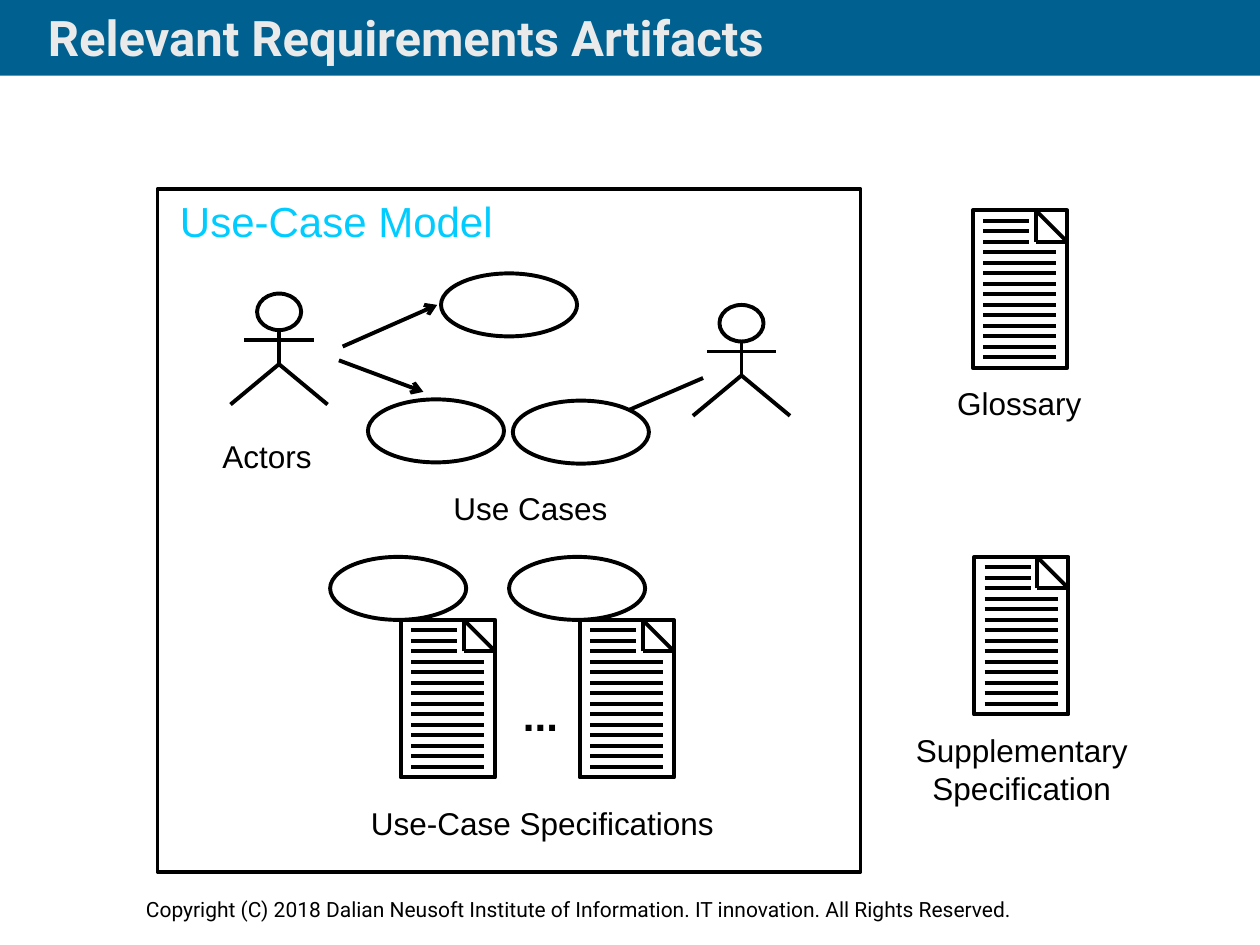
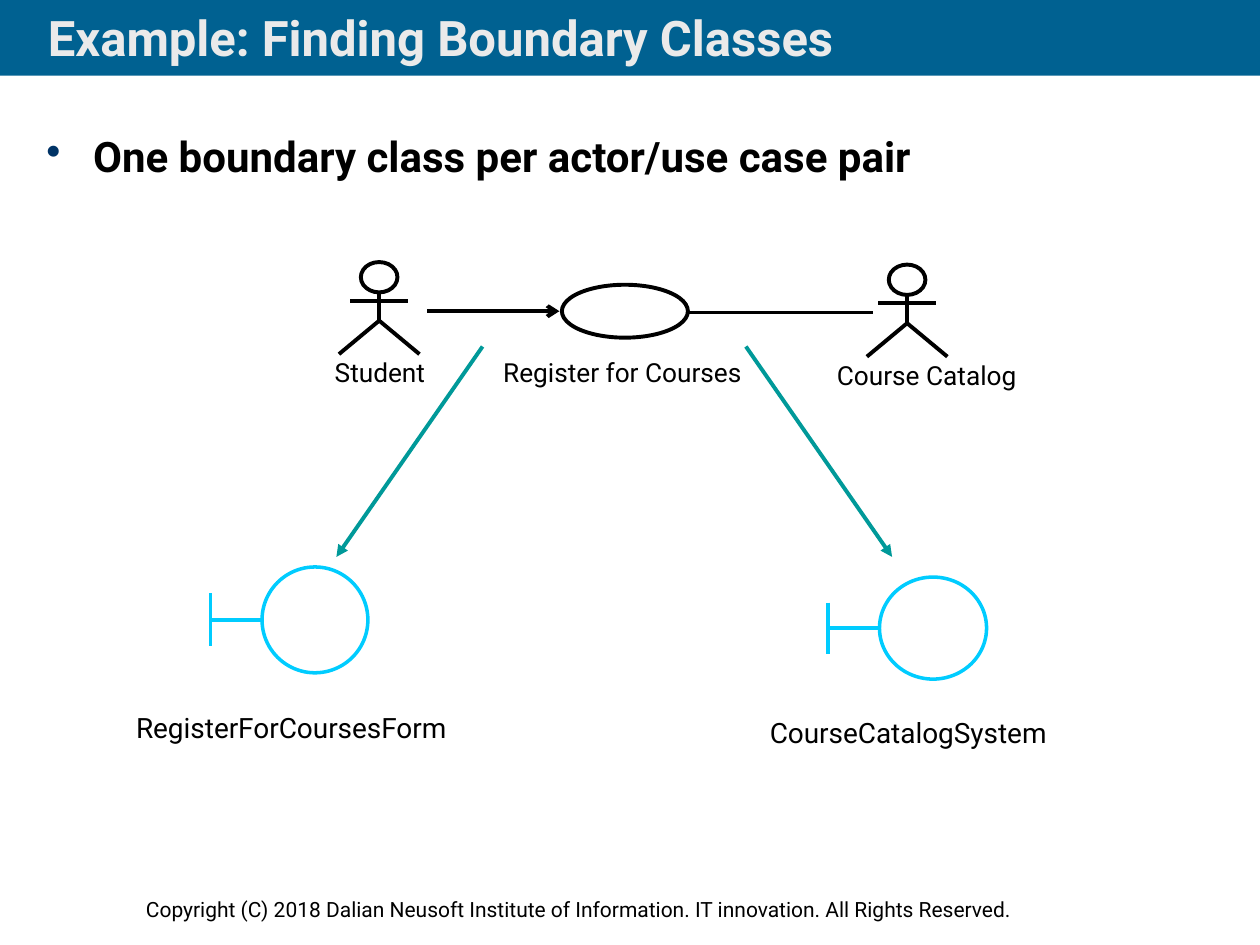
from lxml import etree
from pptx import Presentation
from pptx.dml.color import RGBColor
from pptx.enum import shapes, text
from pptx.oxml.ns import qn
from pptx import util as u

# ---- Shared look ----
COLORS = {"band": "006191", "title": "EAEAEA", "ink": "000000", "bullet": "003366",
          "sky": "00CCFF", "teal": "009999"}
SLIDE_W, SLIDE_H = 10, 7.5
BAND_H = 0.08 * SLIDE_H
FOOTER = ("Copyright (C) 2018 Dalian Neusoft Institute of Information. "
          "IT innovation. All Rights Reserved.")

# ---- Slide 1: requirements artifacts ----
ARTIFACTS_TITLE = "Relevant Requirements Artifacts"
MODEL_FRAME = (1.25, 1.5, 5.58, 5.42)
MODEL_ACTORS = [(1.83, 2.33), (5.5, 2.42)]
USE_CASE_SIZE = (1.08, 0.5)
USE_CASES = [(3.5, 2.17), (2.92, 3.17), (4.07, 3.18)]
SPECIFICATIONS = [(2.62, 4.42), (4.04, 4.42)]
LOOSE_DOCUMENTS = [(7.72, 1.67), (7.73, 4.42)]
MODEL_LINKS = [((2.72, 2.75), (3.47, 2.42), "arrow"),
               ((2.69, 2.86), (3.36, 3.11), "arrow"),
               ((5, 3.25), (5.58, 3), None)]
ARTIFACT_LABELS = [  # text, place, format
    ("Use-Case Model", (1.33, 1.5, 2.97, 0.51),
     dict(size=24, color="sky", align="LEFT")),
    ("Actors", (1.58, 3.42, 1.08, 0.4), {}),
    ("Use Cases", (3.42, 3.83, 1.58, 0.4), {}),
    ("...", (4.04, 5.42, 0.5, 0.51), dict(size=24, bold=True)),
    ("Use-Case Specifications", (2.83, 6.33, 2.95, 0.4), dict(wrap=False)),
    ("Glossary", (7.49, 3, 1.2, 0.4), dict(wrap=False)),
    ("Supplementary\nSpecification", (7.16, 5.75, 1.9, 0.71), dict(wrap=False)),
]

# ---- Slide 2: boundary classes ----
BOUNDARY_TITLE = "Example: Finding Boundary Classes"
BOUNDARY_RULE = "One boundary class per actor/use case pair"
PAIR_ACTORS = [(2.69, 2.08), (6.88, 2.1)]
PAIR_USE_CASE = (4.46, 2.26, 1, 0.42)
PAIR_LABELS = [("Student", (1.67, 2.78, 2.69, 0.35)),
               ("Register for Courses", (3.69, 2.78, 2.5, 0.35)),
               ("Course Catalog", (6.01, 2.8, 2.69, 0.35))]
PAIR_LINKS = [((3.39, 2.47), (4.44, 2.47), "arrow", "ink"),
              ((5.46, 2.48), (6.93, 2.48), None, "ink"),
              ((3.83, 2.75), (2.67, 4.42), "triangle", "teal"),
              ((5.92, 2.75), (7.08, 4.42), "triangle", "teal")]
BOUNDARIES = [  # name, circle, name place
    ("RegisterForCoursesForm", (2.08, 4.5, 0.84, 0.84), (1.08, 5.64, 2.53, 0.27)),
    ("CourseCatalogSystem", (6.98, 4.58, 0.85, 0.81), (6.11, 5.68, 2.24, 0.27)),
]


# ---- Basic parts ----
def rgb(name):
    return RGBColor.from_string(COLORS[name])


def inches(*values):
    return [u.Inches(value) for value in values]


def style_font(font, size, color, bold, face):
    font.size, font.bold, font.name = u.Pt(size), bold, face
    font.color.rgb = rgb(color)


def write(canvas, words, place, size=18, color="ink", bold=False, face="Arial",
          align="CENTER", wrap=True, inset=True):
    box = canvas.add_textbox(*inches(*place))
    frame = box.text_frame
    frame.word_wrap = wrap
    frame.auto_size = text.MSO_AUTO_SIZE.SHAPE_TO_FIT_TEXT
    if not inset:
        frame.margin_left = frame.margin_right = 0
        frame.margin_top = frame.margin_bottom = 0
    frame.text = words
    for para in frame.paragraphs:
        para.alignment = text.PP_ALIGN[align]
        for span in para.runs:
            style_font(span.font, size, color, bold, face)
    return box


def set_outline(shape, color, width):
    shape.shadow.inherit = False
    shape.fill.background()
    shape.line.color.rgb = rgb(color)
    shape.line.width = u.Pt(width)


def outline(canvas, kind, place, color="ink", width=2.25):
    shape = canvas.add_shape(shapes.MSO_SHAPE[kind], *inches(*place))
    set_outline(shape, color, width)


def connect(canvas, start, end, head=None, color="ink", width=2.25):
    link = canvas.add_connector(shapes.MSO_CONNECTOR.STRAIGHT, *inches(*start, *end))
    link.line.color.rgb = rgb(color)
    link.line.width = u.Pt(width)
    properties = link._element.spPr
    if head:
        etree.SubElement(properties.find(qn("a:ln")), qn("a:tailEnd"), type=head)
    etree.SubElement(properties, qn("a:effectLst"))


def new_group(page):
    return page.shapes.add_group_shape().shapes


# ---- Drawn symbols ----
def draw_actor(page, left, top, scale=1.0):
    def at(x, y):
        return left + x * scale, top + y * scale

    canvas = new_group(page)
    outline(canvas, "OVAL", (*at(0.21, 0), 0.35 * scale, 0.29 * scale))
    connect(canvas, at(0.385, 0.29), at(0.385, 0.56))
    connect(canvas, at(0.11, 0.37), at(0.66, 0.37))
    left_foot, hip, right_foot = (inches(*at(*point)) for point in
                                  [(0, 0.88), (0.385, 0.56), (0.77, 0.88)])
    builder = canvas.build_freeform(*left_foot)
    builder.add_line_segments([hip, right_foot], close=False)
    set_outline(builder.convert_to_shape(), "ink", 2.25)


def draw_document(canvas, left, top):
    width, height, fold, margin, rows = 0.75, 1.25, 0.25, 0.085, 15
    right, crease = left + width, left + width - fold
    outline(canvas, "RECTANGLE", (left, top, width, height))
    corners = [(crease, top), (right, top + fold), (crease, top + fold)]
    for index, corner in enumerate(corners):
        connect(canvas, corner, corners[(index + 1) % 3])
    for row in range(1, rows):
        y = top + row * height / rows
        end = crease - 0.05 if row <= 3 else right - margin
        connect(canvas, (left + margin, y), (end, y))


def draw_boundary(page, name, circle, name_place):
    left, top, width, height = circle
    bar, middle = left - 0.41, top + height / 2
    style = dict(color="sky", width=2)
    canvas = new_group(page)
    outline(canvas, "OVAL", circle, **style)
    connect(canvas, (bar, top + height / 4), (bar, top + height * 3 / 4), **style)
    connect(canvas, (bar, middle), (left, middle), **style)
    write(canvas, name, name_place, size=16, face="Roboto", align="LEFT",
          wrap=False, inset=False)


# ---- Slides ----
def add_page(deck, heading):
    page = deck.slides.add_slide(deck.slide_layouts[5])
    title = page.shapes.title
    band = page.shapes.add_shape(shapes.MSO_SHAPE.RECTANGLE,
                                 *inches(0, 0, SLIDE_W, BAND_H))
    band.shadow.inherit = False
    band.fill.solid()
    band.fill.fore_color.rgb = rgb("band")
    band.line.fill.background()
    title._element.addprevious(band._element)

    title.left, title.top, title.width, title.height = inches(0.28, 0, 8.03, 0.59)
    frame = title.text_frame
    frame.text = heading
    frame.auto_size = text.MSO_AUTO_SIZE.NONE
    frame.vertical_anchor = text.MSO_ANCHOR.MIDDLE
    para = frame.paragraphs[0]
    para.alignment = text.PP_ALIGN.LEFT
    style_font(para.runs[0].font, 28, "title", True, "Roboto")

    write(page.shapes, FOOTER, (1.06, 7.07, 8.28, 0.3), size=12, face="Roboto",
          align="LEFT", wrap=False)
    return page


def add_artifacts(deck):
    page = add_page(deck, ARTIFACTS_TITLE)
    outline(page.shapes, "RECTANGLE", MODEL_FRAME)
    for place in LOOSE_DOCUMENTS:
        draw_document(new_group(page), *place)
    for left, top in SPECIFICATIONS:
        canvas = new_group(page)
        outline(canvas, "OVAL", (left, top, *USE_CASE_SIZE))
        draw_document(canvas, left + 0.56, top + USE_CASE_SIZE[1])
    for place in MODEL_ACTORS:
        draw_actor(page, *place)
    for place in USE_CASES:
        outline(page.shapes, "OVAL", (*place, *USE_CASE_SIZE))
    for link in MODEL_LINKS:
        connect(page.shapes, *link)
    for words, place, style in ARTIFACT_LABELS:
        write(page.shapes, words, place, **style)


def add_boundaries(deck):
    page = add_page(deck, BOUNDARY_TITLE)
    rule = write(page.shapes, BOUNDARY_RULE, (0.27, 0.99, 9.45, 0.55), size=24,
                 bold=True, face="Roboto", align="LEFT")
    properties = rule.text_frame.paragraphs[0]._p.get_or_add_pPr()
    indent = u.Inches(0.37)
    properties.set("marL", str(indent))
    properties.set("indent", str(-indent))
    bullet_color = etree.SubElement(properties, qn("a:buClr"))
    etree.SubElement(bullet_color, qn("a:srgbClr"), val=COLORS["bullet"])
    etree.SubElement(properties, qn("a:buChar"), char="•")

    for place in PAIR_ACTORS:
        draw_actor(page, *place, scale=0.83)
    outline(page.shapes, "OVAL", PAIR_USE_CASE)
    for words, place in PAIR_LABELS:
        write(page.shapes, words, place, size=15, face="Roboto")
    for link in PAIR_LINKS:
        connect(page.shapes, *link)
    for boundary in BOUNDARIES:
        draw_boundary(page, *boundary)


def main():
    deck = Presentation()
    deck.slide_width, deck.slide_height = inches(SLIDE_W, SLIDE_H)
    add_artifacts(deck)
    add_boundaries(deck)
    deck.save("out.pptx")


if __name__ == "__main__":
    main()
